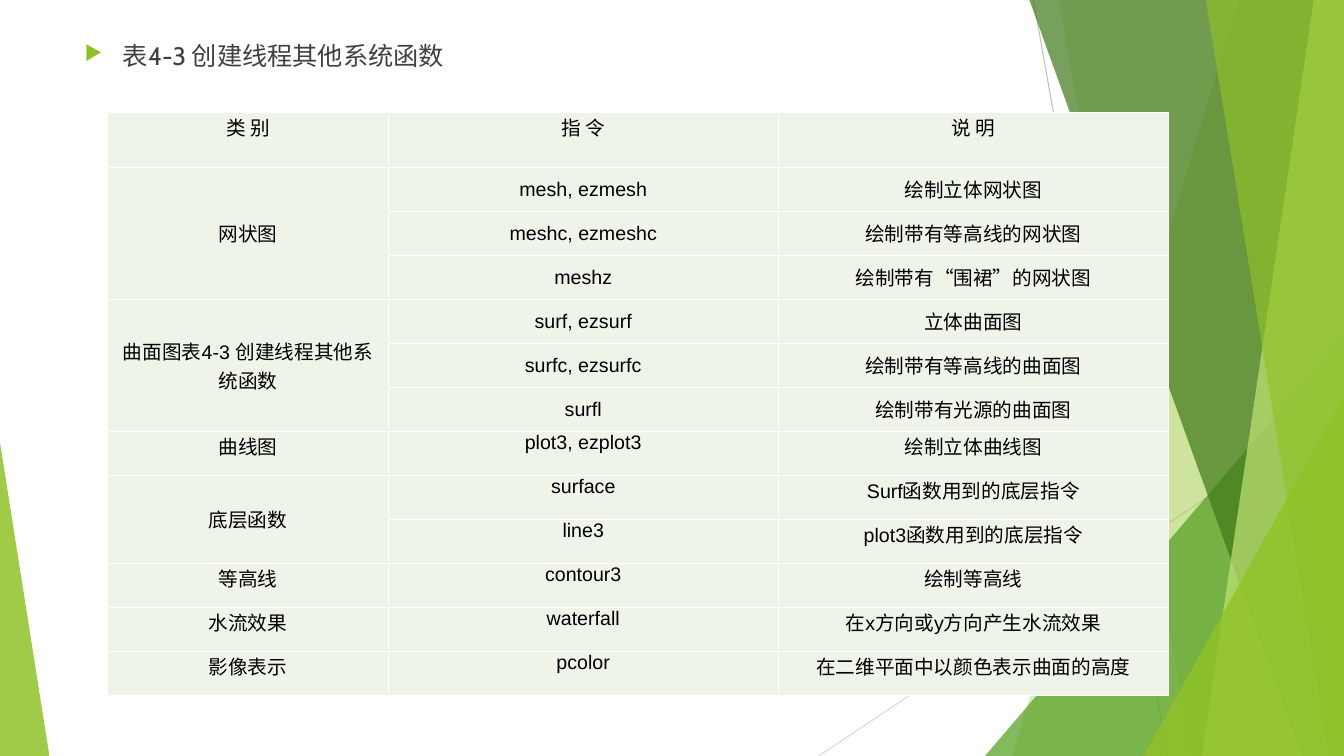
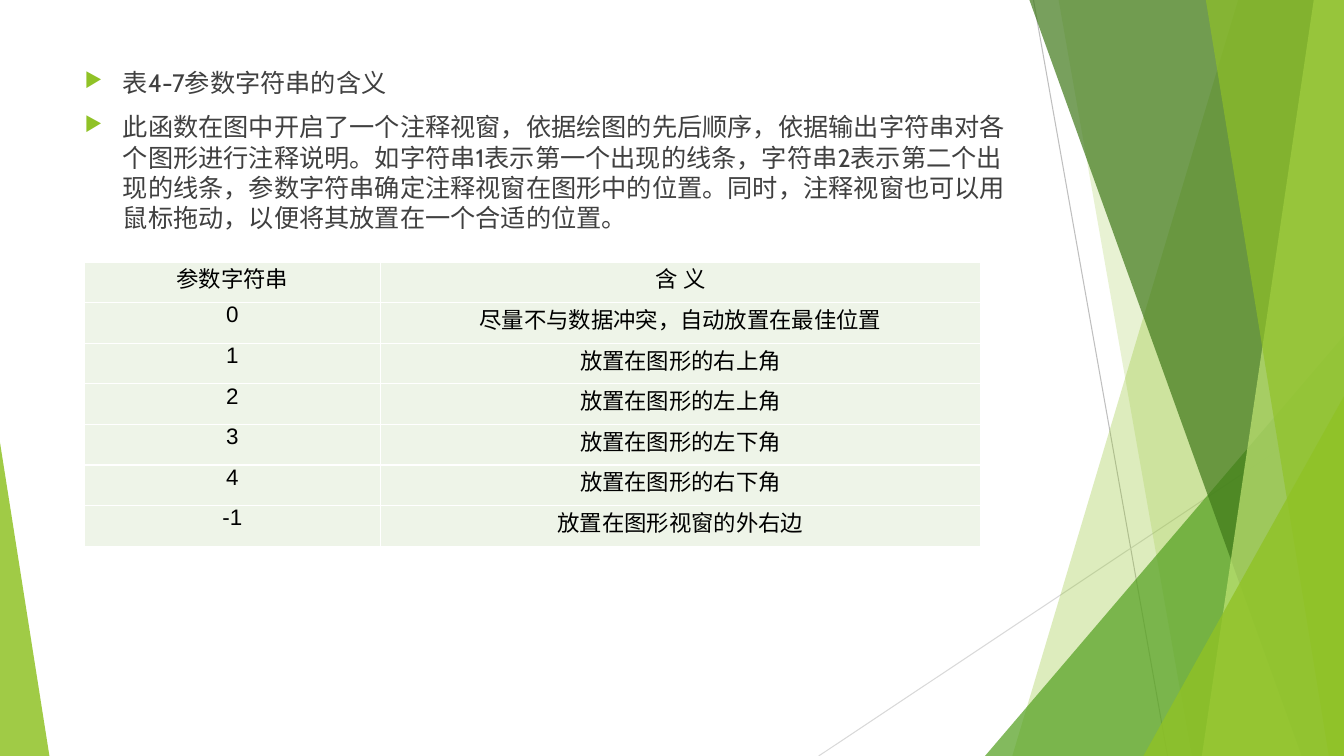
from lxml import etree
from pptx import Presentation
from pptx.dml.color import RGBColor
from pptx.enum.shapes import MSO_CONNECTOR, MSO_SHAPE
from pptx.enum.text import MSO_ANCHOR, PP_ALIGN
from pptx.oxml.ns import qn
from pptx.util import Inches, Pt

STRAIGHT = MSO_CONNECTOR.STRAIGHT
TRIANGLE = MSO_SHAPE.ISOSCELES_TRIANGLE
TOP, MIDDLE = MSO_ANCHOR.TOP, MSO_ANCHOR.MIDDLE
CENTER = PP_ALIGN.CENTER

WIDTH, HEIGHT = 13.33, 7.5
WHITE = RGBColor(0xFF, 0xFF, 0xFF)
BLACK = RGBColor(0x00, 0x00, 0x00)
BODY_GRAY = RGBColor(0x40, 0x40, 0x40)
DARK_RAY = RGBColor(0xBF, 0xBF, 0xBF)
LIGHT_RAY = RGBColor(0xD9, 0xD9, 0xD9)
LIME = RGBColor(0x90, 0xC2, 0x26)
GREEN = RGBColor(0x54, 0xA0, 0x21)
FOREST = RGBColor(0x3F, 0x78, 0x19)
PALE_LIME = RGBColor(0xC0, 0xE4, 0x74)
CELL_GREEN = RGBColor(0xEE, 0xF4, 0xE8)
BODY_FONT, TABLE_FONT = "Cabin", "Arial"

RAYS = [
    ((10.25, 0), (11.58, HEIGHT), DARK_RAY),
    ((WIDTH, 4.03), (8.12, HEIGHT), LIGHT_RAY),
]
# Bands run from a top x and a bottom x to the right edge of the slide.
BACK_BANDS = [(12.28, 10.04, LIME, 30), (10.5, 11.82, LIME, 20)]
FRONT_BANDS = [
    (10.21, 12.91, FOREST, 70),
    (13.03, 11.92, PALE_LIME, 70),
    (11.96, 13.18, LIME, 65),
]

FUNCTION_ROWS = [
    ("类 别", "指 令", "说 明"),
    ("网状图", "mesh, ezmesh", "绘制立体网状图"),
    ("", "meshc, ezmeshc", "绘制带有等高线的网状图"),
    ("", "meshz", "绘制带有“围裙”的网状图"),
    ("曲面图表4-3 创建线程其他系统函数", "surf, ezsurf", "立体曲面图"),
    ("", "surfc, ezsurfc", "绘制带有等高线的曲面图"),
    ("", "surfl", "绘制带有光源的曲面图"),
    ("曲线图", "plot3, ezplot3", "绘制立体曲线图"),
    ("底层函数", "surface", "Surf函数用到的底层指令"),
    ("", "line3", "plot3函数用到的底层指令"),
    ("等高线", "contour3", "绘制等高线"),
    ("水流效果", "waterfall", "在x方向或y方向产生水流效果"),
    ("影像表示", "pcolor", "在二维平面中以颜色表示曲面的高度"),
]
CATEGORY_SPANS = [(1, 3), (4, 6), (8, 9)]
MIDDLE_ROWS = range(1, 7)

PARAMETER_ROWS = [
    ("参数字符串", "含 义"),
    ("0", "尽量不与数据冲突，自动放置在最佳位置"),
    ("1", "放置在图形的右上角"),
    ("2", "放置在图形的左上角"),
    ("3", "放置在图形的左下角"),
    ("4", "放置在图形的右下角"),
    ("-1", "放置在图形视窗的外右边"),
]
LEGEND_NOTE = (
    "此函数在图中开启了一个注释视窗，依据绘图的先后顺序，依据输出字符串对各个图形进行注释说明。"
    "如字符串1表示第一个出现的线条，字符串2表示第二个出现的线条，"
    "参数字符串确定注释视窗在图形中的位置。"
    "同时，注释视窗也可以用鼠标拖动，以便将其放置在一个合适的位置。"
)


def add_ray(slide, start, end, color):
    ray = slide.shapes.add_connector(STRAIGHT, *map(Inches, start + end))
    ray.line.color.rgb = color
    ray.line.width = Pt(0.75)
    etree.SubElement(ray._element.spPr, qn("a:effectLst"))


def tint(facet, color, opacity):
    facet.shadow.inherit = False
    facet.fill.solid()
    facet.fill.fore_color.rgb = color
    facet.line.fill.background()
    srgb = facet._element.spPr.find(qn("a:solidFill"))[0]
    etree.SubElement(srgb, qn("a:alpha"), val=str(opacity * 1000))


def add_band(slide, top_x, bottom_x, color, opacity):
    outline = slide.shapes.build_freeform(Inches(top_x), 0)
    corners = [(WIDTH, 0), (WIDTH, HEIGHT), (bottom_x, HEIGHT)]
    outline.add_line_segments([(Inches(x), Inches(y)) for x, y in corners])
    tint(outline.convert_to_shape(), color, opacity)


def add_triangle(slide, left, top, width, apex, color, opacity):
    box = map(Inches, (left, top, width, HEIGHT - top))
    triangle = slide.shapes.add_shape(TRIANGLE, *box)
    triangle.adjustments[0] = apex
    tint(triangle, color, opacity)


def add_facets(slide):
    for ray in RAYS:
        add_ray(slide, *ray)
    for band in BACK_BANDS:
        add_band(slide, *band)
    add_triangle(slide, 9.77, 3.33, 3.56, 1, GREEN, 72)
    for band in FRONT_BANDS:
        add_band(slide, *band)
    add_triangle(slide, 11.34, 3.93, 1.99, 1, LIME, 80)
    add_triangle(slide, 0, 4.39, 0.49, 0, LIME, 85)


def add_bullet(paragraph):
    props = paragraph._p.get_or_add_pPr()
    props.set("marL", str(Inches(0.38)))
    props.set("indent", str(Inches(-0.38)))
    bullet_color = etree.SubElement(props, qn("a:buClr"))
    etree.SubElement(bullet_color, qn("a:srgbClr"), val=str(LIME))
    etree.SubElement(props, qn("a:buSzPct"), val="80000")
    etree.SubElement(props, qn("a:buChar"), char="▶")


def add_body(slide, top, height, texts):
    box = map(Inches, (0.74, top, 9.4, height))
    frame = slide.shapes.add_textbox(*box).text_frame
    frame.word_wrap = True
    for index, text in enumerate(texts):
        paragraph = frame.add_paragraph() if index else frame.paragraphs[0]
        paragraph.text = text
        add_bullet(paragraph)
        if index:
            paragraph.space_before = Pt(10)
        paragraph.font.size = Pt(18)
        paragraph.font.name = BODY_FONT
        paragraph.font.color.rgb = BODY_GRAY


def add_borders(cell):
    props = cell._tc.get_or_add_tcPr()
    for index, side in enumerate(("lnL", "lnR", "lnT", "lnB")):
        border = etree.Element(qn("a:" + side), w=str(Pt(1)))
        fill = etree.SubElement(border, qn("a:solidFill"))
        etree.SubElement(fill, qn("a:srgbClr"), val=str(WHITE))
        props.insert(index, border)


def fill_cell(cell, text, size, anchor):
    cell.text = text
    cell.margin_left = cell.margin_right = Inches(0.07)
    cell.margin_top = cell.margin_bottom = 0
    cell.vertical_anchor = anchor
    cell.fill.solid()
    cell.fill.fore_color.rgb = CELL_GREEN
    add_borders(cell)
    paragraph = cell.text_frame.paragraphs[0]
    paragraph.alignment = CENTER
    paragraph.space_after = Pt(2)
    paragraph.font.size = Pt(size)
    paragraph.font.name = TABLE_FONT
    paragraph.font.color.rgb = BLACK


def add_grid(slide, left, top, widths, heights, rows, size, middle_rows=()):
    box = map(Inches, (left, top, sum(widths), sum(heights)))
    table = slide.shapes.add_table(len(rows), len(widths), *box).table
    table.first_row = table.horz_banding = False
    for column, width in zip(table.columns, widths):
        column.width = Inches(width)
    for index, (row, height, texts) in enumerate(zip(table.rows, heights, rows)):
        row.height = Inches(height)
        anchor = MIDDLE if index in middle_rows else TOP
        for cell, text in zip(row.cells, texts):
            fill_cell(cell, text, size, anchor)
    return table


def build_functions_slide(slide):
    add_facets(slide)
    add_body(slide, 0.35, 6.26, ["表4-3 创建线程其他系统函数"])
    header, total = 0.54, 5.78
    following = len(FUNCTION_ROWS) - 1
    heights = [header] + [(total - header) / following] * following
    table = add_grid(slide, 1.07, 1.12, [2.78, 3.87, 3.87], heights,
                     FUNCTION_ROWS, 14, MIDDLE_ROWS)
    for first, last in CATEGORY_SPANS:
        category = table.cell(first, 0)
        category.merge(table.cell(last, 0))
        category.vertical_anchor = MIDDLE


def build_parameters_slide(slide):
    add_facets(slide)
    add_body(slide, 0.62, 5.98, ["表4-7参数字符串的含义", LEGEND_NOTE])
    count = len(PARAMETER_ROWS)
    add_grid(slide, 0.84, 2.6, [2.93, 5.96], [2.82 / count] * count,
             PARAMETER_ROWS, 16)


def main():
    deck = Presentation()
    deck.slide_width, deck.slide_height = Inches(WIDTH), Inches(HEIGHT)
    blank = deck.slide_layouts[6]
    for build in (build_functions_slide, build_parameters_slide):
        build(deck.slides.add_slide(blank))
    deck.save("out.pptx")


if __name__ == "__main__":
    main()
